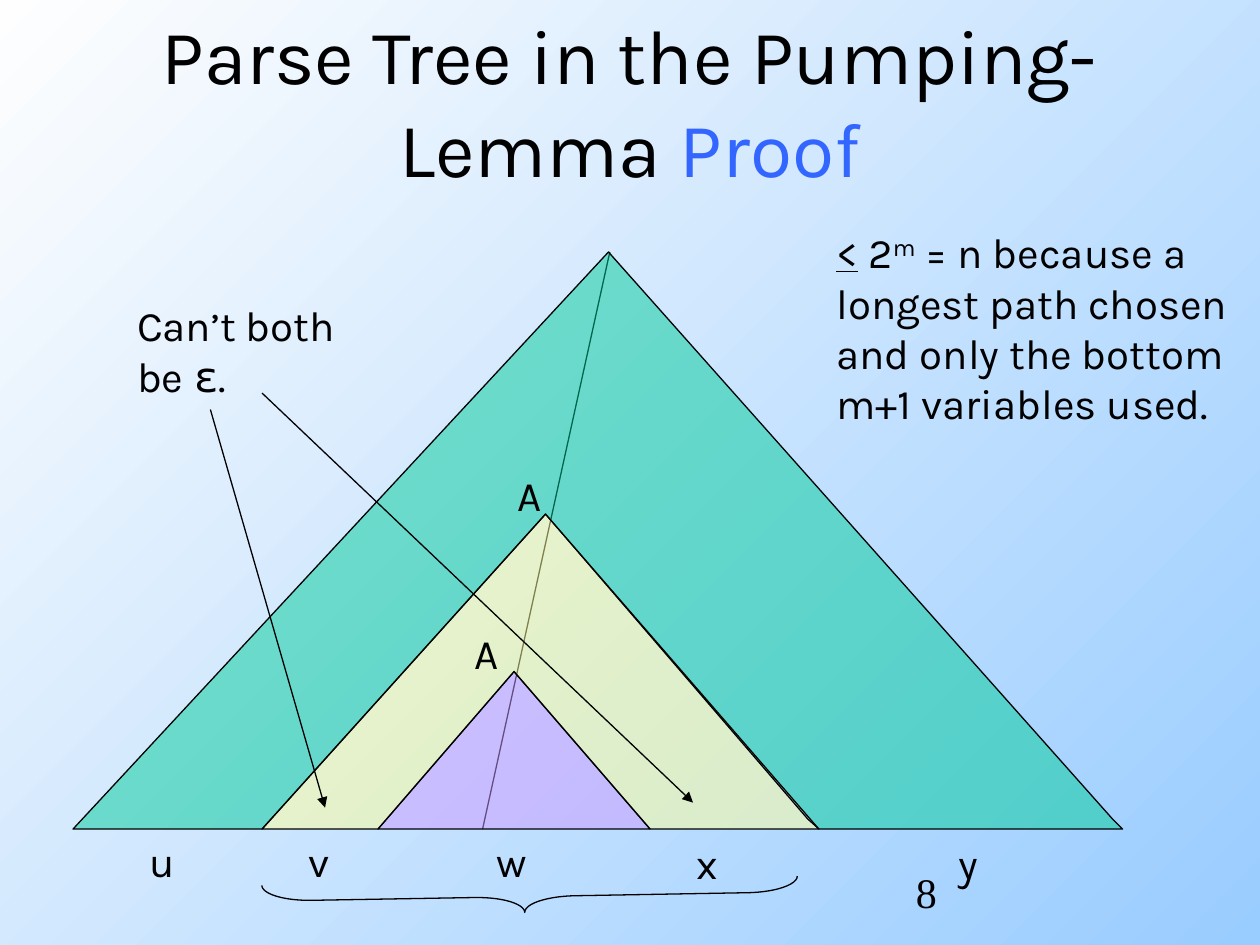
from lxml import etree
from pptx import Presentation
from pptx.dml.color import RGBColor
from pptx.enum.shapes import MSO_CONNECTOR, MSO_SHAPE
from pptx.enum.text import MSO_ANCHOR, MSO_AUTO_SIZE, PP_ALIGN
from pptx.oxml.ns import qn
from pptx.util import Pt

PX = 9144  # EMU per px, 100 px to the inch
W, H = 1000, 750
FONT = "Karla"
COLORS = {
    "ink": "000000", "proof": "3366FF", "sky": "99CCFF", "white": "FEFEFE",
    "outer": "00CC99", "middle": "FFFF99", "inner": "CC99FF",
}

# Paragraphs are lists of runs: (text, format)
TITLE = [[("Parse Tree in the Pumping-Lemma ", {}), ("Proof", {"color": "proof"})]]
LENGTH_NOTE = [
    [("<", {"underline": True}), (" 2", {}), ("m", {"raised": True}), (" = n because a", {})],
    [("longest path chosen", {})],
    [("and only the bottom", {})],
    [("m+1 variables used.", {})],
]
EMPTY_NOTE = [
    [("Can’t both", {})],
    [("be ", {}), ("ε", {"font": "DejaVu Sans Mono"}), (".", {})],
]
PAGE_NUMBER = [[("8", {"font": "Times New Roman"})]]

# text, left, top, width
LABELS = [
    ("A", 401, 368, 41), ("A", 367, 493, 41),
    ("u", 109, 658, 40), ("v", 235, 658, 37), ("y", 751, 660, 37),
    ("x", 543, 660, 37), ("w", 384, 658, 46),
]
INNER_BOX = (300, 533, 216, 125)
BANDS = [
    ("middle", [(300, 658), (208, 658), (433, 408), (641, 650), (650, 658),
                (516, 658), (408, 533)]),
    ("outer", [(208, 658), (58, 658), (483, 200), (883, 650), (891, 658),
               (650, 658), (433, 408)]),
]
LONGEST_PATH = (484, 200, 383, 658)
ARROWS = [(167, 325, 258, 641), (208, 312, 550, 637)]
BRACE_BOX = (408, 499, 25, 425)


def rgb(name):
    return RGBColor.from_string(COLORS[name])


def emu(*lengths):
    return [n * PX for n in lengths]


def add_text(slide, box, paragraphs, size=24, wrap=False, align=PP_ALIGN.LEFT,
             anchor=MSO_ANCHOR.TOP):
    tf = slide.shapes.add_textbox(*emu(*box)).text_frame
    tf.word_wrap = wrap
    tf.auto_size = MSO_AUTO_SIZE.NONE if wrap else MSO_AUTO_SIZE.SHAPE_TO_FIT_TEXT
    tf.vertical_anchor = anchor
    for i, runs in enumerate(paragraphs):
        p = tf.add_paragraph() if i else tf.paragraphs[0]
        p.alignment = align
        for text, fmt in runs:
            r = p.add_run()
            r.text = text
            r.font.size = Pt(size)
            r.font.name = fmt.get("font", FONT)
            r.font.color.rgb = rgb(fmt.get("color", "ink"))
            if fmt.get("underline"):
                r.font.underline = True
            if fmt.get("raised"):
                r._r.get_or_add_rPr().set("baseline", "30000")


def outline(sp):
    sp.line.color.rgb = rgb("ink")
    sp.line.width = Pt(0.75)


def paint(sp, color):
    """Half-transparent fill with a thin black outline."""
    sp.shadow.inherit = False
    sp.fill.solid()
    sp.fill.fore_color.rgb = rgb(color)
    clr = sp._element.spPr.find(qn("a:solidFill"))[0]
    etree.SubElement(clr, qn("a:alpha")).set("val", "50000")
    outline(sp)


def add_line(slide, ends, arrow=False):
    line = slide.shapes.add_connector(MSO_CONNECTOR.STRAIGHT, *emu(*ends))
    outline(line)
    if arrow:
        ln = line.line._get_or_add_ln()
        etree.SubElement(ln, qn("a:tailEnd")).set("type", "triangle")
    etree.SubElement(line._element.spPr, qn("a:effectLst"))


def add_brace(slide):
    brace = slide.shapes.add_shape(MSO_SHAPE.LEFT_BRACE, *emu(*BRACE_BOX))
    brace.rotation = 269
    brace.adjustments[0] = 1.6
    brace.adjustments[1] = 0.49
    brace.shadow.inherit = False
    brace.fill.background()
    outline(brace)


def add_triangles(slide):
    inner = slide.shapes.add_shape(MSO_SHAPE.ISOSCELES_TRIANGLE, *emu(*INNER_BOX))
    paint(inner, "inner")
    for color, points in BANDS:
        builder = slide.shapes.build_freeform(*points[0], scale=PX)
        builder.add_line_segments(points[1:], close=True)
        paint(builder.convert_to_shape(), color)


def main():
    prs = Presentation()
    prs.slide_width, prs.slide_height = emu(W, H)
    slide = prs.slides.add_slide(prs.slide_layouts[6])

    bg = slide.background.fill
    bg.gradient()
    bg.gradient_angle = 135
    for stop, color in zip(bg.gradient_stops, ("sky", "white")):
        stop.color.rgb = rgb(color)

    add_text(slide, (75, 17, 850, 125), TITLE, 44, True, PP_ALIGN.CENTER, MSO_ANCHOR.MIDDLE)
    add_line(slide, LONGEST_PATH)
    add_brace(slide)
    add_text(slide, (654, 175, 339, 170), LENGTH_NOTE)
    add_triangles(slide)
    for text, left, top, width in LABELS:
        add_text(slide, (left, top, width, 50), [[(text, {})]])
    add_text(slide, (99, 233, 180, 90), EMPTY_NOTE)
    for ends in ARROWS:
        add_line(slide, ends, arrow=True)
    add_text(slide, (717, 683, 208, 50), PAGE_NUMBER, wrap=True)

    prs.save("out.pptx")


if __name__ == "__main__":
    main()
